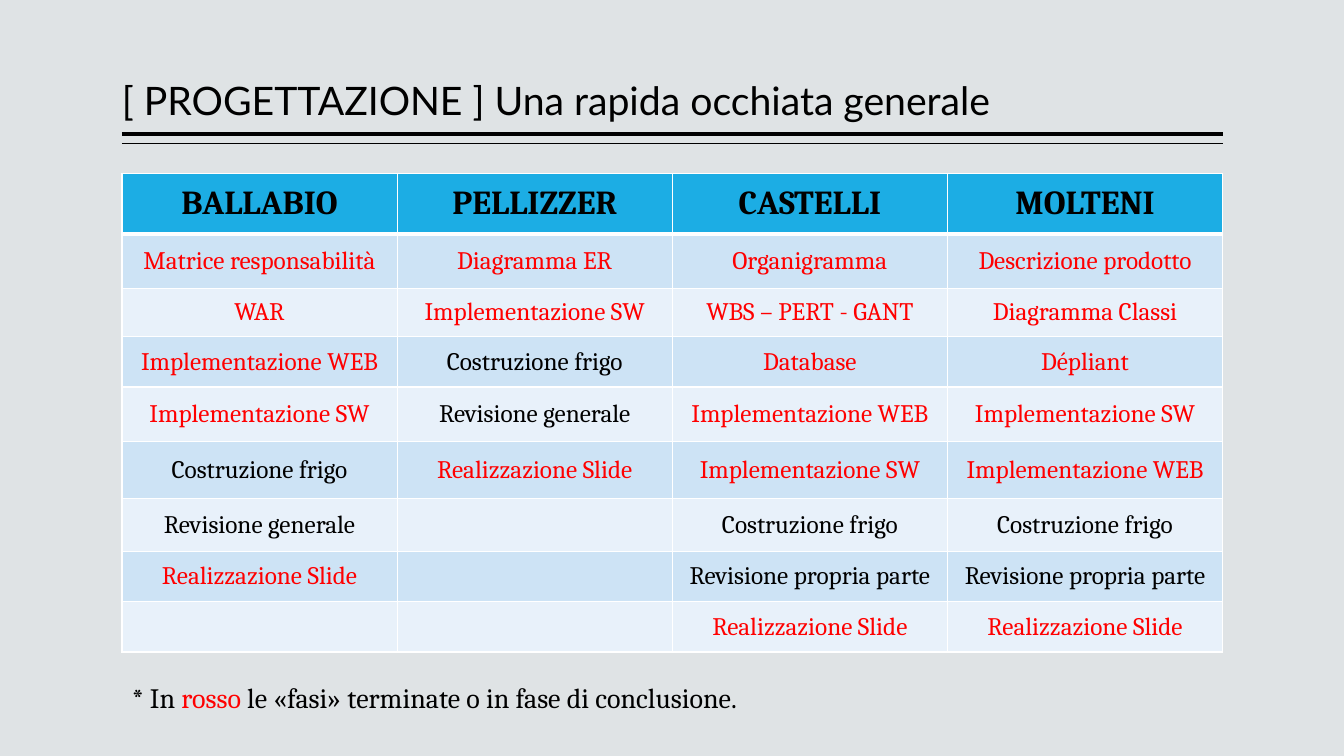
from dataclasses import dataclass

from lxml import etree
from pptx import Presentation
from pptx.dml.color import RGBColor
from pptx.enum.shapes import MSO_CONNECTOR
from pptx.enum.text import MSO_ANCHOR, PP_ALIGN
from pptx.oxml.ns import qn
from pptx.util import Pt

STRAIGHT = MSO_CONNECTOR.STRAIGHT
TOP, MIDDLE, BOTTOM = MSO_ANCHOR.TOP, MSO_ANCHOR.MIDDLE, MSO_ANCHOR.BOTTOM
LEFT, CENTER = PP_ALIGN.LEFT, PP_ALIGN.CENTER


@dataclass(frozen=True)
class Theme:
    background: str = "DFE3E5"
    ink: str = "000000"
    done: str = "FF0000"
    header: str = "1CADE4"
    bands: tuple = ("CDE3F5", "E8F1FA")
    border: str = "FFFFFF"
    title_font: str = "Lato"
    body_font: str = "Cambria"
    title_size: int = 28
    header_size: int = 24
    note_size: int = 20
    cell_size: int = 18


MARGIN, CONTENT_WIDTH = 87.12, 786.24
ROW_HEIGHTS = [43.2, 38.88, 34.56, 36, 38.88, 41.04, 37.44, 36, 36]
OPEN_PHASES = {"Costruzione frigo", "Revisione generale", "Revisione propria parte"}
PHASES = {
    "BALLABIO": ["Matrice responsabilità", "WAR", "Implementazione WEB", "Implementazione SW",
                 "Costruzione frigo", "Revisione generale", "Realizzazione Slide"],
    "PELLIZZER": ["Diagramma ER", "Implementazione SW", "Costruzione frigo",
                  "Revisione generale", "Realizzazione Slide"],
    "CASTELLI": ["Organigramma", "WBS – PERT - GANT", "Database", "Implementazione WEB",
                 "Implementazione SW", "Costruzione frigo", "Revisione propria parte",
                 "Realizzazione Slide"],
    "MOLTENI": ["Descrizione prodotto", "Diagramma Classi", "Dépliant", "Implementazione SW",
                "Implementazione WEB", "Costruzione frigo", "Revisione propria parte",
                "Realizzazione Slide"],
}


def write_text(paragraph, text, *, font, size, color, bold=False, align=LEFT):
    paragraph.alignment = align
    run = paragraph.add_run()
    run.text = text
    run.font.name = font
    run.font.size = Pt(size)
    run.font.bold = bold
    run.font.color.rgb = RGBColor.from_string(color)


class SlideBuilder:
    def __init__(self, slide, theme):
        self.slide = slide
        self.theme = theme
        fill = slide.background.fill
        fill.solid()
        fill.fore_color.rgb = RGBColor.from_string(theme.background)

    def rule(self, y, width):
        line = self.slide.shapes.add_connector(
            STRAIGHT, Pt(MARGIN), Pt(y), Pt(MARGIN + CONTENT_WIDTH), Pt(y))
        line.line.width = Pt(width)
        line.line.color.rgb = RGBColor.from_string(self.theme.ink)
        etree.SubElement(line._element.spPr, qn("a:effectLst"))

    def text_box(self, top, height, runs, *, font, size, anchor=TOP, inset=7.2, spacing=1):
        box = self.slide.shapes.add_textbox(Pt(MARGIN), Pt(top), Pt(CONTENT_WIDTH), Pt(height))
        frame = box.text_frame
        frame.word_wrap = True
        frame.vertical_anchor = anchor
        frame.margin_left = frame.margin_right = Pt(inset)
        paragraph = frame.paragraphs[0]
        paragraph.line_spacing = spacing
        for text, color in runs:
            write_text(paragraph, text, font=font, size=size, color=color)

    def borders(self, cell, top, bottom):
        properties = cell._tc.get_or_add_tcPr()
        for side, width in (("L", 1), ("R", 1), ("T", top), ("B", bottom)):
            edge = etree.SubElement(properties, qn(f"a:ln{side}"), w=str(Pt(width)))
            solid = etree.SubElement(edge, qn("a:solidFill"))
            etree.SubElement(solid, qn("a:srgbClr"), val=self.theme.border)

    def cell(self, cell, row, text):
        theme = self.theme
        is_header = row == 0
        self.borders(cell, top=3 if row == 1 else 1, bottom=3 if is_header else 1)
        cell.fill.solid()
        cell.fill.fore_color.rgb = RGBColor.from_string(
            theme.header if is_header else theme.bands[(row - 1) % 2])
        cell.vertical_anchor = MIDDLE
        if text:
            write_text(cell.text_frame.paragraphs[0], text, font=theme.body_font,
                       size=theme.header_size if is_header else theme.cell_size,
                       color=theme.ink if is_header or text in OPEN_PHASES else theme.done,
                       bold=is_header, align=CENTER)

    def table(self, top, columns):
        table = self.slide.shapes.add_table(
            len(ROW_HEIGHTS), len(columns), Pt(MARGIN), Pt(top),
            Pt(CONTENT_WIDTH), Pt(sum(ROW_HEIGHTS))).table
        table.first_row = table.horz_banding = False
        for row, height in enumerate(ROW_HEIGHTS):
            table.rows[row].height = Pt(height)
        for column, (name, phases) in enumerate(columns.items()):
            table.columns[column].width = Pt(CONTENT_WIDTH / len(columns))
            texts = [name, *phases]
            for row in range(len(ROW_HEIGHTS)):
                text = texts[row] if row < len(texts) else ""
                self.cell(table.cell(row, column), row, text)


def main():
    theme = Theme()
    presentation = Presentation()
    presentation.slide_width, presentation.slide_height = Pt(960), Pt(540)
    slide = presentation.slides.add_slide(presentation.slide_layouts[6])
    builder = SlideBuilder(slide, theme)
    builder.rule(95.76, 3)
    builder.rule(102.6, 1)
    builder.text_box(5.76, 86.4, [("[ PROGETTAZIONE ] Una rapida occhiata generale", theme.ink)],
                     font=theme.title_font, size=theme.title_size,
                     anchor=BOTTOM, inset=0, spacing=0.9)
    builder.table(123.84, PHASES)
    builder.text_box(482.4, 31.68, [
        ("* In ", theme.ink),
        ("rosso", theme.done),
        (" le «fasi» terminate o in fase di conclusione.", theme.ink),
    ], font=theme.body_font, size=theme.note_size)
    presentation.save("out.pptx")


if __name__ == "__main__":
    main()
